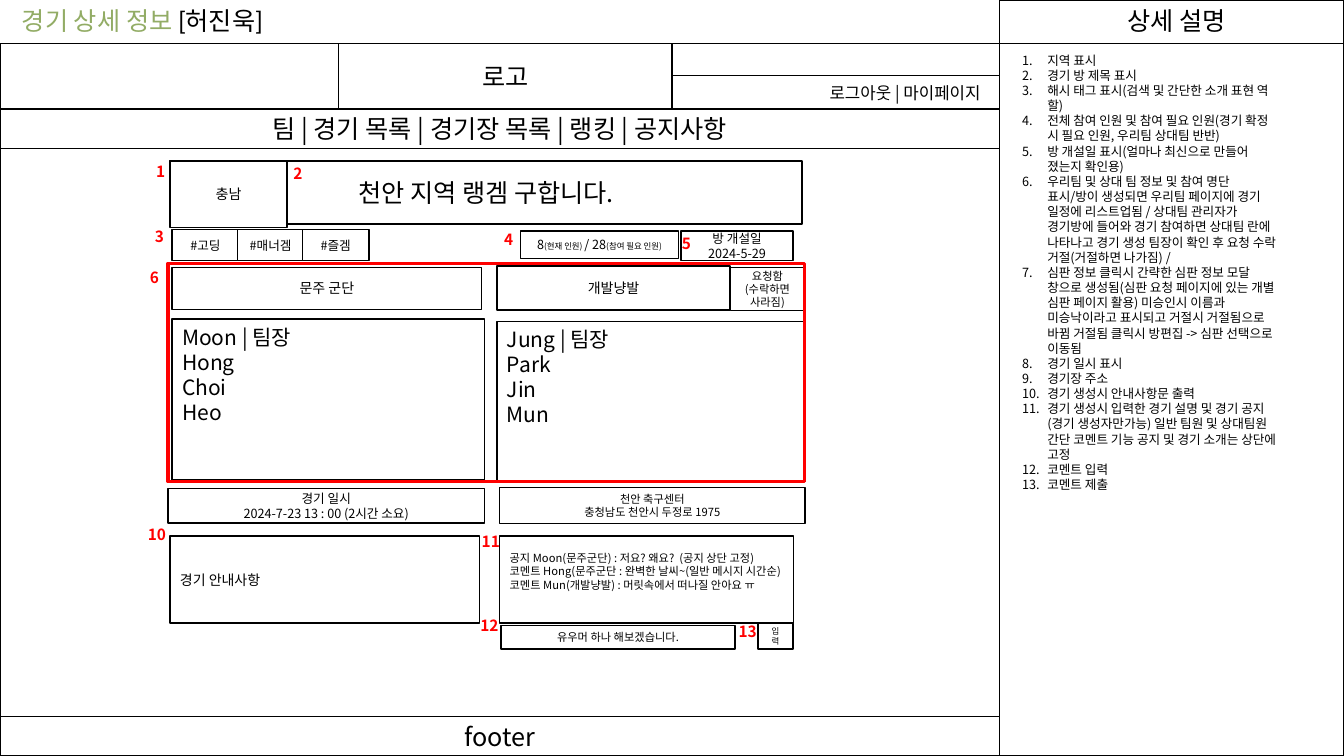
"""Build the match detail wireframe slide with its explanation panel."""
from lxml import etree
from pptx import Presentation
from pptx.dml.color import RGBColor
from pptx.enum.shapes import MSO_SHAPE
from pptx.enum.text import MSO_ANCHOR, PP_ALIGN
from pptx.oxml.ns import qn
from pptx.util import Pt

BLACK = RGBColor(0, 0, 0)
WHITE = RGBColor(255, 255, 255)
RED = RGBColor(255, 0, 0)
GREEN = RGBColor(0x92, 0xAC, 0x65)
FONT = "Noto Sans CJK KR"
RECT = MSO_SHAPE.RECTANGLE
LEFT, MID, RIGHT = PP_ALIGN.LEFT, PP_ALIGN.CENTER, PP_ALIGN.RIGHT
TOP, CENTER = MSO_ANCHOR.TOP, MSO_ANCHOR.MIDDLE

deck = Presentation()
deck.slide_width, deck.slide_height = Pt(960), Pt(540)
slide = deck.slides.add_slide(deck.slide_layouts[5])
shapes = slide.shapes


def style(frame, size, color=BLACK, align=LEFT, bold=False):
    for para in frame.paragraphs:
        para.alignment = align
        for run in para.runs:
            font = run.font
            font.size, font.bold, font.name = Pt(size), bold, FONT
            font.color.rgb = color
            etree.SubElement(font._element, qn("a:ea")).set("typeface", FONT)


def draw(x, y, w, h, text="", size=10, align=MID, anchor=CENTER):
    box = shapes.add_shape(RECT, Pt(x), Pt(y), Pt(w), Pt(h))
    box.shadow.inherit = False
    box.fill.solid()
    box.fill.fore_color.rgb = WHITE
    box.line.color.rgb = BLACK
    box.line.width = Pt(1)
    frame = box.text_frame
    frame.word_wrap = True
    frame.vertical_anchor = anchor
    frame.text = text
    style(frame, size, BLACK, align)
    return box


title = shapes.title
title.left, title.top, title.width, title.height = Pt(8.5), Pt(0), Pt(226), Pt(29)
frame = title.text_frame
frame.word_wrap = True
frame.vertical_anchor = TOP
frame.text = "경기 상세 정보 "
frame.paragraphs[0].add_run().text = "[허진욱]"
style(frame, 18, GREEN)
name = frame.paragraphs[0].runs[1].font
name.name = "Lato"
name.color.rgb = BLACK

draw(714, 31, 246, 509)
draw(714, 0, 246, 31)
draw(0, 31, 714, 75)
draw(242, 31, 238, 47, "로고", 18)
draw(0, 78, 714, 28, "팀 | 경기 목록 | 경기장 목록 | 랭킹 | 공지사항", 18)
draw(0, 512, 714, 28, "footer", 18)
draw(0, 106, 714, 406)
menu = draw(480, 54, 234, 24, "로그아웃 | 마이페이지", 12, RIGHT)
menu.text_frame.margin_right = Pt(13.5)

draw(121.5, 115, 451.5, 45, "천안 지역 랭겜 구합니다.", 18)
draw(121.5, 115, 83.5, 47.5, "충남")
for i, tag in enumerate(["#고딩", "#매너겜", "#즐겜"]):
    draw(123 + 46.5 * i, 164, 47.5, 22, tag, 9)

count = draw(372, 165, 112.5, 19.5, "8", 9).text_frame
para = count.paragraphs[0]
for part in ["(현재 인원) ", "/ 28", "(참여 필요 인원)"]:
    para.add_run().text = part
style(count, 9, BLACK, MID)
for run in para.runs[1::2]:
    run.font.size = Pt(6)
draw(486.5, 165, 80, 21, "방 개설일\n2024-5-29", 9)

draw(123, 191, 221, 30, "문주 군단")
draw(123, 228, 223, 115, "Moon | 팀장\nHong\nChoi\nHeo", 15, LEFT, TOP)
draw(355, 190, 166.5, 31.5, "개발냥발")
draw(355, 229.5, 220.5, 114, "Jung | 팀장\nPark\nJin\nMun", 15, LEFT, TOP)
draw(522, 191, 52.5, 31, "요청함\n(수락하면사라짐)", 8)
draw(120, 349, 226, 24.5, "경기 일시\n2024-7-23 13 : 00 (2시간 소요)", 9)
draw(357, 348, 218, 26, "천안 축구센터\n충청남도 천안시 두정로 1975", 8)
draw(121.5, 383, 221, 62, "경기 안내사항", 10, LEFT)
chat = draw(357, 383, 210, 62,
            "공지 Moon(문주군단) : 저요? 왜요?  (공지 상단 고정)\n"
            "코멘트 Hong(문주군단 : 완벽한 날씨~(일반 메시지 시간순)\n"
            "코멘트 Mun(개발냥발) : 머릿속에서 떠나질 안아요 ㅠ", 8, LEFT)
chat.text_frame.margin_bottom = Pt(15.5)
draw(358, 447, 167, 16.5, "유우머 하나 해보겠습니다.", 8)
draw(541.5, 445.5, 25, 18, "입력", 6)

teams = draw(120, 188, 455, 156)
teams.fill.background()
teams.line.color.rgb = RED
teams.line.width = Pt(2.25)

marks = [
    (1, 104.5, 112.5), (2, 202.5, 114), (3, 103.5, 159), (4, 353, 160.5),
    (5, 480, 164), (6, 100, 188), (10, 98.5, 371.5), (11, 337, 376.5),
    (12, 336, 436.5), (13, 520.5, 440.5),
]
for mark, x, y in marks:
    frame = shapes.add_textbox(Pt(x), Pt(y), Pt(28), Pt(21)).text_frame
    frame.word_wrap = True
    frame.text = str(mark)
    style(frame, 11, RED, LEFT, True)

head = shapes.add_textbox(Pt(798), Pt(0), Pt(93.5), Pt(29)).text_frame
head.word_wrap = False
head.text = "상세 설명"
style(head, 18)

notes = [
    "지역 표시",
    "경기 방 제목 표시",
    "해시 태그 표시(검색 및 간단한 소개 표현 역할)",
    "전체 참여 인원 및 참여 필요 인원(경기 확정 시 필요 인원, 우리팀 상대팀 반반)",
    "방 개설일 표시(얼마나 최신으로 만들어 졌는지 확인용)",
    "우리팀 및 상대 팀 정보 및 참여 명단 표시/방이 생성되면 우리팀 페이지에 "
    "경기 일정에 리스트업됨 / 상대팀 관리자가 경기방에 들어와 경기 참여하면 "
    "상대팀 란에 나타나고 경기 생성 팀장이 확인 후 요청 수락 거절(거절하면 나가짐) /",
    "심판 정보 클릭시 간략한 심판 정보 모달 창으로 생성됨(심판 요청 페이지에 있는 "
    "개별 심판 페이지 활용) 미승인시 이름과 미승낙이라고 표시되고 거절시 거절됨으로 "
    "바뀜 거절됨 클릭시 방편집 -> 심판 선택으로 이동됨",
    "경기 일시 표시",
    "경기장 주소",
    "경기 생성시 안내사항문 출력",
    "경기 생성시 입력한 경기 설명 및 경기 공지(경기 생성자만가능) 일반 팀원 및 "
    "상대팀원 간단 코멘트 기능 공지 및 경기 소개는 상단에 고정",
    "코멘트 입력",
    "코멘트 제출",
]
frame = shapes.add_textbox(Pt(723), Pt(34), Pt(200), Pt(323)).text_frame
frame.word_wrap = True
frame.text = "\n".join(notes)
for para in frame.paragraphs:
    props = para._p.get_or_add_pPr()
    props.set("marL", str(Pt(18)))
    props.set("indent", str(-Pt(18)))
    etree.SubElement(props, qn("a:buFont")).set("typeface", "+mj-lt")
    etree.SubElement(props, qn("a:buAutoNum")).set("type", "arabicPeriod")
style(frame, 9)

deck.save("out.pptx")
